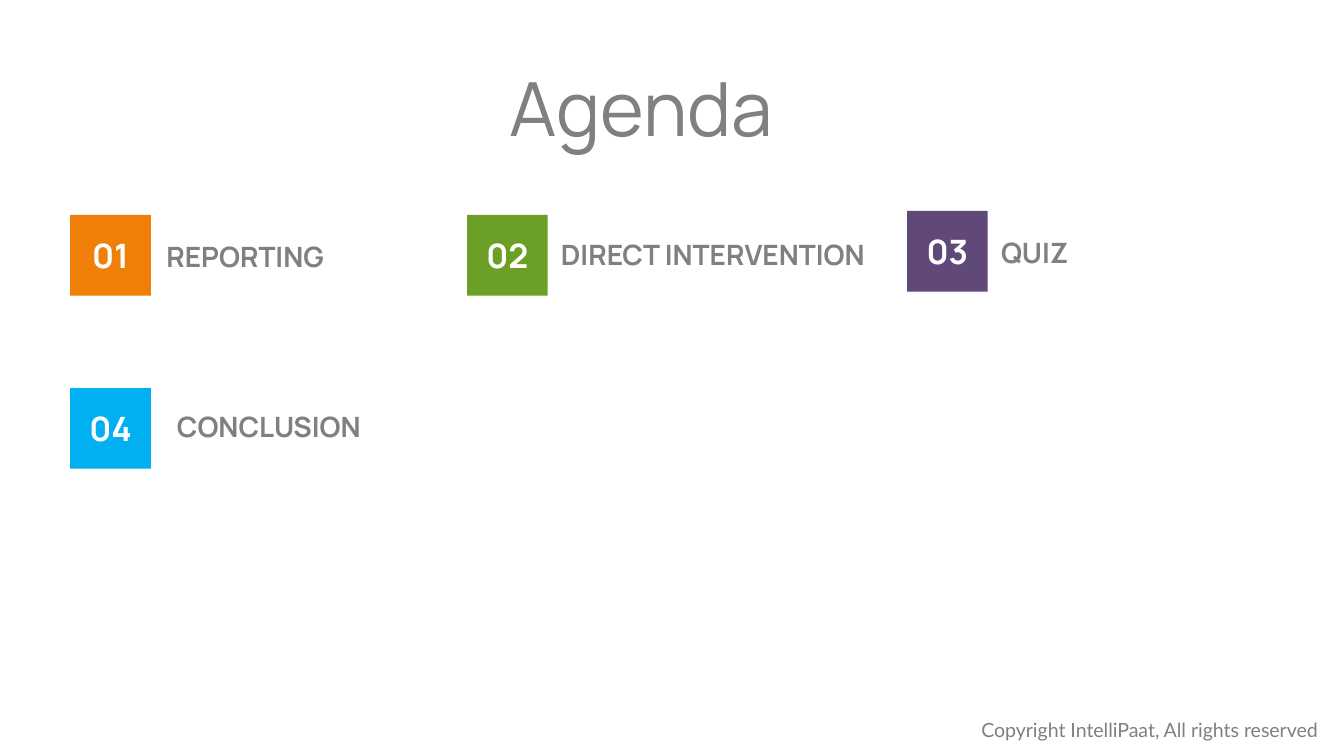
from pptx import Presentation
from pptx.dml.color import RGBColor
from pptx.enum.shapes import MSO_SHAPE
from pptx.enum.text import MSO_ANCHOR, MSO_AUTO_SIZE, PP_ALIGN
from pptx.util import Inches, Pt

COLORS = {
    "grey": "808080", "white": "FFFFFF", "orange": "F07F09",
    "green": "6B9F25", "purple": "604878", "blue": "00B0F0",
}
FORMATS = {
    "title": {"name": "Manrope", "size": Pt(40), "bold": False},
    "number": {"name": "Manrope", "size": Pt(18), "bold": True},
    "label": {"name": "Manrope", "size": Pt(15), "bold": True},
    "footer": {"name": "Lato", "size": Pt(10.5), "bold": False},
}
# Grid of 100 columns by 56.25 rows (16:9)
COLS, ROWS = 100, 56.25
UNIT = Inches(0.1)
TILE = 6
LABEL_H = 3.5


def grid(*cells):
    return [int(c * UNIT) for c in cells]


def write(tf, text, style, color):
    p = tf.paragraphs[0]
    r = p.add_run()
    r.text = text
    for key, value in FORMATS[style].items():
        setattr(r.font, key, value)
    r.font.color.rgb = RGBColor.from_string(COLORS[color])
    return p


def add_text(s, box, text, style, wrap=True):
    tf = s.shapes.add_textbox(*grid(*box)).text_frame
    tf.word_wrap = wrap
    tf.auto_size = MSO_AUTO_SIZE.SHAPE_TO_FIT_TEXT
    return tf, write(tf, text, style, "grey")


def add_title(s, box):
    tf, p = add_text(s, box, "Agenda", "title")
    tf.auto_size = MSO_AUTO_SIZE.NONE
    tf.margin_left = 0
    p.line_spacing = 0.9


def add_item(s, box, number, text, color, gap, drop):
    x, y, w = box
    # Numbered tile
    sp = s.shapes.add_shape(MSO_SHAPE.RECTANGLE, *grid(x, y, TILE, TILE))
    sp.shadow.inherit = False
    sp.fill.solid()
    sp.fill.fore_color.rgb = RGBColor.from_string(COLORS[color])
    sp.line.fill.background()
    sp.text_frame.vertical_anchor = MSO_ANCHOR.MIDDLE
    p = write(sp.text_frame, number, "number", "white")
    p.alignment = PP_ALIGN.CENTER
    # Label beside the tile
    add_text(s, (x + TILE + gap, y + drop, w, LABEL_H), text, "label")


def add_footer(s, box):
    add_text(s, box, "Copyright IntelliPaat, All rights reserved", "footer", wrap=False)


def main():
    prs = Presentation()
    prs.slide_width, prs.slide_height = grid(COLS, ROWS)
    s = prs.slides.add_slide(prs.slide_layouts[6])

    add_footer(s, (72.04, 52.95, 28, 2.8))

    # Agenda items: left, top and label width, then text, colour and label offset
    items = [
        ((5.23, 16, 21.7), "REPORTING", "orange", 0.17, 1.3),
        ((34.75, 16, 25.6), "DIRECT INTERVENTION", "green", 0, 1.2),
        ((67.5, 15.7, 25), "QUIZ", "purple", 0, 1.3),
        ((5.23, 28.88, 21.7), "CONCLUSION", "blue", 0.95, 1.12),
    ]
    for i, (box, text, color, gap, drop) in enumerate(items, 1):
        add_item(s, box, f"{i:02}", text, color, gap, drop)

    add_title(s, (37.9, 4.85, 44.9, 6.3))
    prs.save("out.pptx")


if __name__ == "__main__":
    main()
